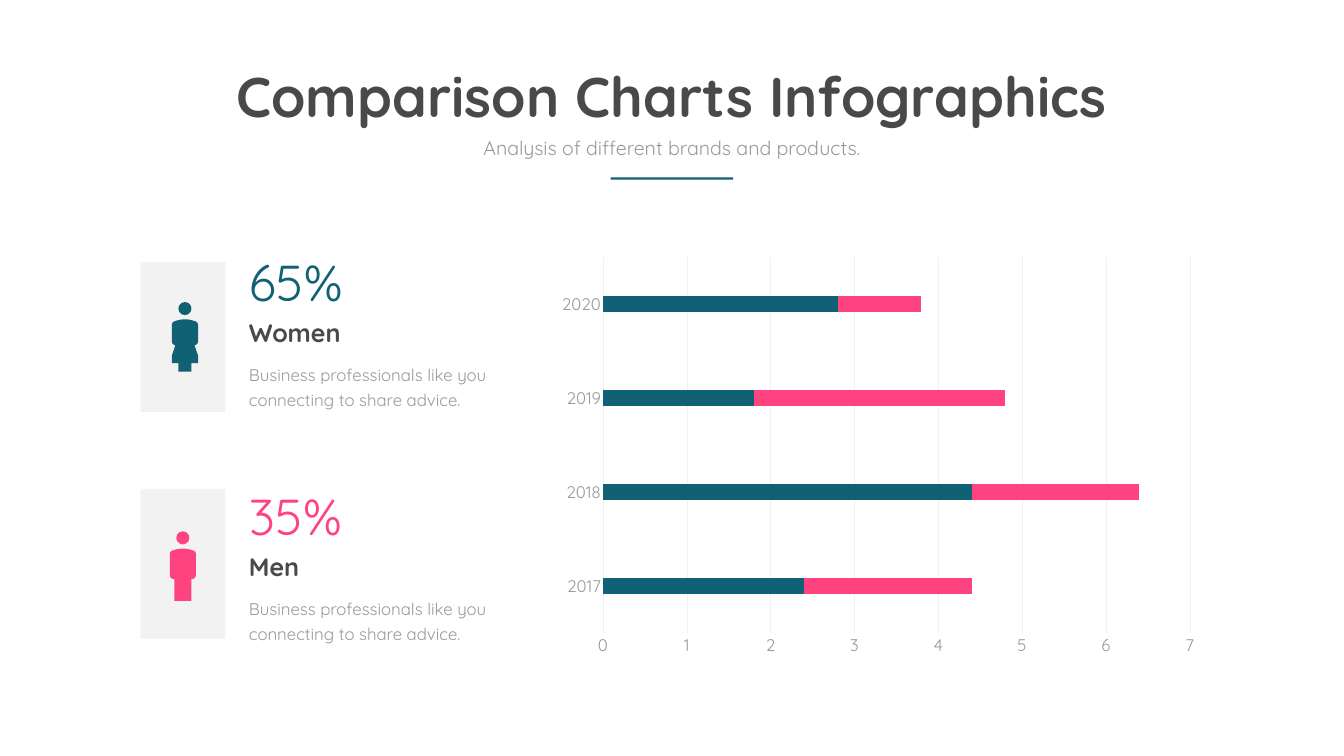
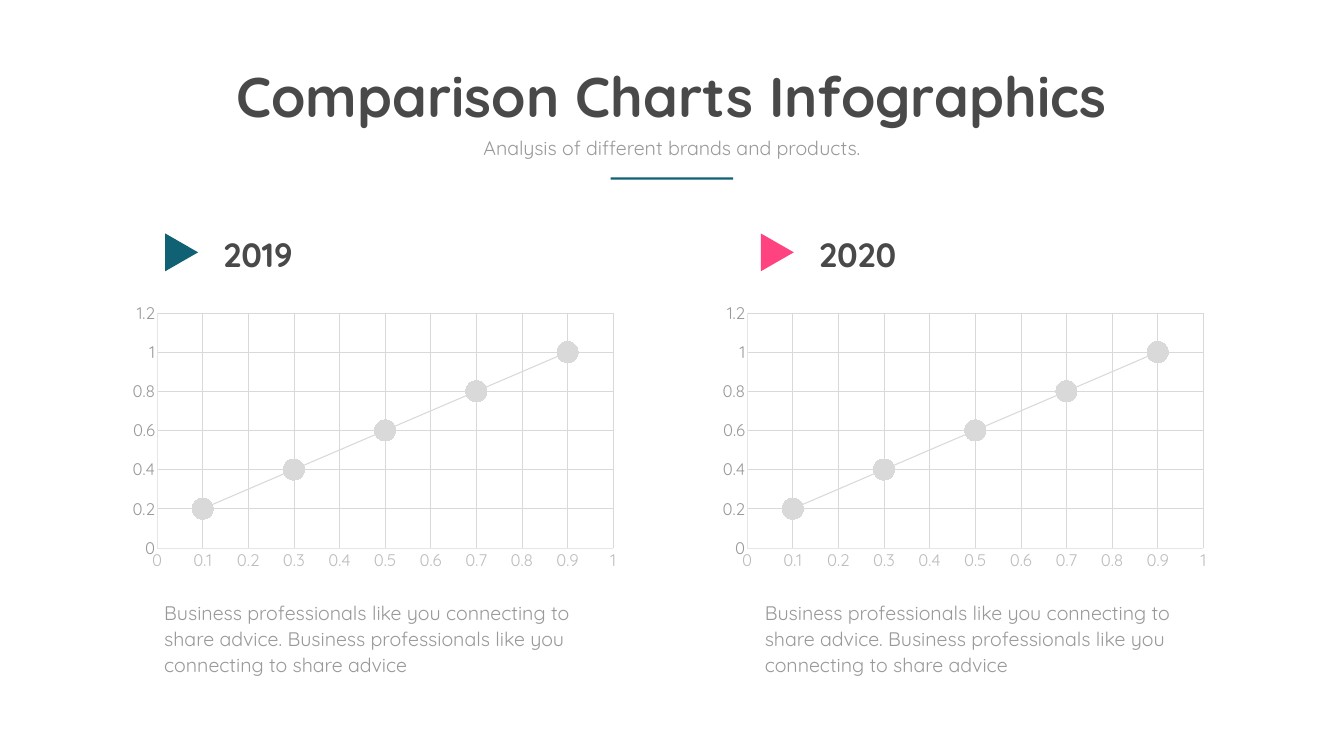
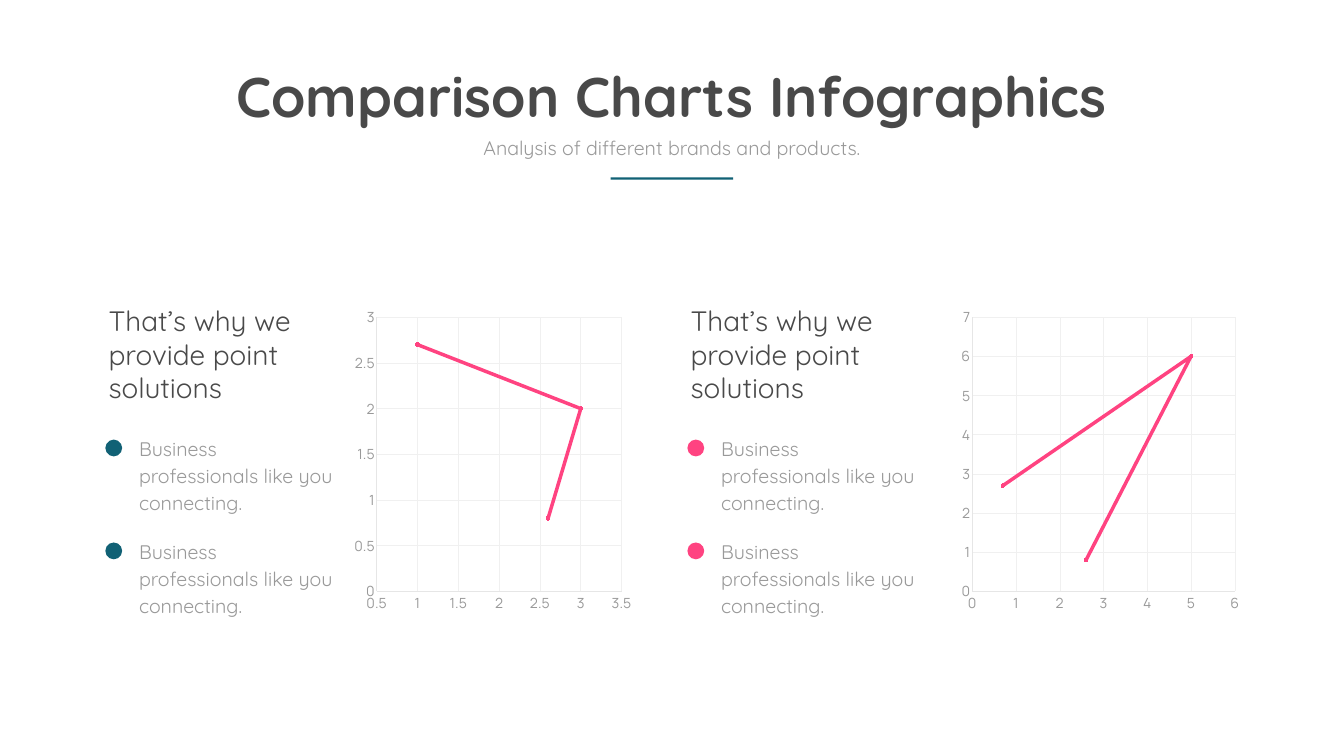
from lxml import etree
from pptx import Presentation
from pptx.chart.data import CategoryChartData, XyChartData
from pptx.dml.color import RGBColor
from pptx.enum.chart import XL_CHART_TYPE, XL_MARKER_STYLE, XL_TICK_MARK
from pptx.enum.shapes import MSO_SHAPE
from pptx.enum.text import MSO_ANCHOR, MSO_AUTO_SIZE, PP_ALIGN
from pptx.oxml.ns import qn
from pptx.util import Pt

TEAL, PINK = "116175", "FF4381"
DARK, GREY, PALE_GREY = "494949", "999999", "BDBDBD"
CARD, AXIS, GRID, FAINT_GRID = "F2F2F2", "E6E6E6", "D9D9D9", "F0F0F0"
FONT, CHART_FONT = "Quicksand", "Manrope"
ADVICE = "Business professionals like you connecting to share advice"

# Left half of each pictogram, in points: a 2-tuple is a corner and
# a 6-tuple is a Bezier curve (two control points and its end).
ICON_WIDTH, HEAD_SIZE = 37.4, 18.7
SHOULDER = [(18.7, 24.7), (13.85, 24.7, 9, 25.6, 4.3, 27.4),
            (1.4, 28.1, 0, 30.2, 0, 33.1)]
WOMAN = SHOULDER + [(0, 56.2), (0, 59, 2.2, 61.2, 5, 61.9), (0, 76.3),
                    (0, 87.1), (9.4, 87.1), (9.4, 99.4)]
MAN = SHOULDER + [(0, 62.6), (0, 65.5, 2.9, 68.4, 6.5, 68.4), (6.5, 99.4)]


def color(hex_value):
    return RGBColor.from_string(hex_value)


def points(*lengths):
    return [Pt(length) for length in lengths]


def style_font(font, size, hex_value, name=FONT, bold=False):
    font.name = name
    font.size = Pt(size)
    font.bold = bold
    font.color.rgb = color(hex_value)


def write(holder, text, size, hex_value=GREY, bold=False, align=PP_ALIGN.LEFT,
          leading=None, wrap=True):
    """Fill a text box or placeholder with one formatted paragraph."""
    frame = holder.text_frame
    frame.text = text
    frame.word_wrap = wrap
    frame.auto_size = MSO_AUTO_SIZE.SHAPE_TO_FIT_TEXT
    frame.vertical_anchor = MSO_ANCHOR.TOP
    paragraph = frame.paragraphs[0]
    paragraph.alignment = align
    paragraph.space_before = Pt(0)
    if leading:
        paragraph.line_spacing = Pt(leading)
    style_font(paragraph.runs[0].font, size, hex_value, bold=bold)


def add_text(slide, box, text, size, **formatting):
    write(slide.shapes.add_textbox(*points(*box)), text, size, **formatting)


def paint(shape, fill):
    shape.shadow.inherit = False
    shape.fill.solid()
    shape.fill.fore_color.rgb = color(fill)
    shape.line.fill.background()


def add_block(slide, kind, box, fill, rotation=0):
    block = slide.shapes.add_shape(kind, *points(*box))
    block.rotation = rotation
    paint(block, fill)


def add_headed_slide(deck):
    slide = deck.slides.add_slide(deck.slide_layouts[0])
    title, subtitle = slide.placeholders
    title.left, title.top, title.width, title.height = points(322, 84, 1275, 104.5)
    write(title, "Comparison Charts Infographics", 80, hex_value=DARK, bold=True,
          align=PP_ALIGN.CENTER, wrap=False)
    subtitle.left, subtitle.top, subtitle.width, subtitle.height = points(
        615.5, 191, 688.5, 41)
    write(subtitle, "Analysis of different brands and products.", 28,
          align=PP_ALIGN.CENTER)
    add_block(slide, MSO_SHAPE.RECTANGLE, (872.5, 253.5, 175, 3), TEAL)
    return slide


def flatten(half):
    """Turn corners and curves into a list of straight-line points."""
    outline = []
    for step in half:
        if len(step) == 2:
            outline.append(step)
            continue
        x0, y0 = outline[-1]
        x1, y1, x2, y2, x3, y3 = step
        for t in (k / 8 for k in range(1, 9)):
            a, b, c, d = (1 - t)**3, 3 * t * (1 - t)**2, 3 * t * t * (1 - t), t**3
            outline.append((a * x0 + b * x1 + c * x2 + d * x3,
                            a * y0 + b * y1 + c * y2 + d * y3))
    return outline


def add_person(slide, left, top, half, fill):
    add_block(slide, MSO_SHAPE.OVAL,
              (left + (ICON_WIDTH - HEAD_SIZE) / 2, top, HEAD_SIZE, HEAD_SIZE), fill)
    left_side = flatten(half)
    right_side = [(ICON_WIDTH - x, y) for x, y in reversed(left_side)]
    outline = [points(left + x, top + y) for x, y in left_side + right_side]
    builder = slide.shapes.build_freeform(*outline[0])
    builder.add_line_segments(outline[1:], close=True)
    paint(builder.convert_to_shape(), fill)


def add_gender_row(slide, left, top, card_top, icon, half, share, name, accent):
    add_block(slide, MSO_SHAPE.RECTANGLE, (left, card_top, 121, 214), CARD)
    add_person(slide, left + icon[0], card_top + icon[1], half, accent)
    text_left = left + 147.5
    add_text(slide, (text_left, top, 180.5, 94.5), share, 72, hex_value=accent)
    add_text(slide, (text_left, top + 95, 287.5, 51), name, 36,
             hex_value=DARK, bold=True)
    add_text(slide, (text_left, top + 154.5, 354, 78), ADVICE + ".", 24, leading=36.6)


def place_plot(chart, **fractions):
    """Fix the inner plot area as fractions (x, y, w, h) of the chart."""
    plot_area = chart.element.find(".//" + qn("c:plotArea"))
    for automatic in plot_area.findall(qn("c:layout")):
        plot_area.remove(automatic)
    layout = etree.Element(qn("c:layout"))
    manual = etree.SubElement(layout, qn("c:manualLayout"))
    settings = {"layoutTarget": "inner", "xMode": "edge", "yMode": "edge", **fractions}
    for tag, value in settings.items():
        etree.SubElement(manual, qn("c:" + tag)).set("val", str(value))
    plot_area.insert(0, layout)


def style_axis(axis, size, label=GREY, font=FONT, line=None, grid=None, scale=None):
    axis.major_tick_mark = axis.minor_tick_mark = XL_TICK_MARK.NONE
    style_font(axis.tick_labels.font, size, label, name=font)
    axis.has_major_gridlines = bool(grid)
    if grid:
        axis.major_gridlines.format.line.color.rgb = color(grid)
        axis.major_gridlines.format.line.width = Pt(0.75)
    if line:
        axis.format.line.color.rgb = color(line)
        axis.format.line.width = Pt(0.75)
    else:
        axis.format.line.fill.background()
    if scale:
        axis.minimum_scale, axis.maximum_scale, axis.major_unit = scale
        axis.tick_labels.number_format = "General"
        axis.tick_labels.number_format_is_linked = False


def add_chart(slide, kind, box, data, size, font, plot):
    chart = slide.shapes.add_chart(kind, *points(*box), data).chart
    chart.has_title = chart.has_legend = False
    chart.plots[0].vary_by_categories = False
    style_font(chart.font, size, GREY, name=font)
    place_plot(chart, **plot)
    return chart


def add_year_bars(slide, box):
    data = CategoryChartData()
    data.categories = ["2017", "2018", "2019", "2020"]
    data.add_series("Series 1", (2.4, 4.4, 1.8, 2.8))
    data.add_series("Series 2", (2, 2, 3, 1))
    chart = add_chart(slide, XL_CHART_TYPE.BAR_STACKED, box, data, 20, CHART_FONT,
                      dict(x=0.08, y=0.02, w=0.89, h=0.91))
    bars = chart.plots[0]
    bars.gap_width, bars.overlap = 500, 100
    for series, fill in zip(bars.series, (TEAL, PINK)):
        series.format.fill.solid()
        series.format.fill.fore_color.rgb = color(fill)
    style_axis(chart.category_axis, 24, line=FAINT_GRID)
    style_axis(chart.value_axis, 24, grid=FAINT_GRID, scale=(0, 7, 1))


def paint_marker(marker, fill, size):
    marker.style = XL_MARKER_STYLE.CIRCLE
    marker.size = size
    marker.format.fill.solid()
    marker.format.fill.fore_color.rgb = color(fill)
    marker.format.line.fill.background()


def add_scatter(slide, kind, box, pairs, size, font, plot, x_scale, y_scale,
                line, width, marker, marker_size, grid, x_label=GREY):
    data = XyChartData()
    trend = data.add_series("Series 1")
    for x, y in pairs:
        trend.add_data_point(x, y)
    chart = add_chart(slide, kind, box, data, size, font, plot)
    series = chart.plots[0].series[0]
    series.format.line.color.rgb = color(line)
    series.format.line.width = Pt(width)
    paint_marker(series.marker, marker, marker_size)
    style_axis(chart.category_axis, size, x_label, font, AXIS, grid, x_scale)
    style_axis(chart.value_axis, size, GREY, font, AXIS, grid, y_scale)
    return series


def add_year_panel(slide, left, top, year, accent, chart_left, text_left):
    add_block(slide, MSO_SHAPE.ISOSCELES_TRIANGLE, (left, top + 7, 54, 47), accent,
              rotation=90)
    add_text(slide, (left + 79.5, top, 287.5, 65.5), year, 48,
             hex_value=DARK, bold=True)
    pairs = [(k / 10, (k + 1) / 10) for k in range(1, 10, 2)]
    add_scatter(slide, XL_CHART_TYPE.XY_SCATTER_LINES,
                (left + chart_left, top + 94, 718.5, 399.5), pairs, 24, FONT,
                dict(x=0.068, y=0.058, w=0.907, h=0.84), (0, 1, 0.1), (0, 1.2, 0.2),
                line=GRID, width=1.5, marker=accent, marker_size=30, grid=GRID,
                x_label=PALE_GREY)
    add_text(slide, (left + text_left, top + 522.5, 642, 115),
             f"{ADVICE}. {ADVICE}", 28, leading=36.6)


def add_solution_panel(slide, left, top, accent, chart_left, pairs, plot,
                       x_scale, y_scale):
    add_text(slide, (left - 2.5, top, 345.5, 137.5),
             "That’s why we provide point solutions", 40, hex_value=DARK)
    for row in range(2):
        row_top = top + 186 + row * 147
        add_block(slide, MSO_SHAPE.OVAL, (left, row_top + 12, 24, 24), accent)
        add_text(slide, (left + 41, row_top, 300, 76.5),
                 "Business professionals like you connecting.", 28, leading=38.6)
    return add_scatter(slide, XL_CHART_TYPE.XY_SCATTER_SMOOTH,
                       (left + chart_left, top, 414, 455), pairs, 20, CHART_FONT,
                       dict(y=0.051, h=0.861, **plot), x_scale, y_scale,
                       line=PINK, width=5, marker=PINK, marker_size=5,
                       grid=FAINT_GRID)


def build_gender_slide(deck):
    slide = add_headed_slide(deck)
    add_year_bars(slide, (786, 355, 942, 591))
    add_gender_row(slide, 201, 355, 374.5, (44.5, 57), WOMAN, "65%", "Women", TEAL)
    add_gender_row(slide, 201, 689, 698.5, (41.5, 60.5), MAN, "35%", "Men", PINK)


def build_years_slide(deck):
    slide = add_headed_slide(deck)
    add_year_panel(slide, 232.5, 330, "2019", TEAL, chart_left=-57, text_left=-5)
    add_year_panel(slide, 1083.5, 330, "2020", PINK, chart_left=-65, text_left=2)


def build_solutions_slide(deck):
    slide = add_headed_slide(deck)
    curve = add_solution_panel(
        slide, 150.5, 430, TEAL, 347.5, [(1, 2.7), (3, 2), (2.6, 0.8)],
        dict(x=0.097, w=0.845), (0.5, 3.5, 0.5), (0, 3, 0.5))
    for index in (1, 2):
        paint_marker(curve.points[index].marker, TEAL, 5)
    add_solution_panel(
        slide, 982, 430, PINK, 382.5, [(0.7, 2.7), (5, 6), (2.6, 0.8)],
        dict(x=0.059, w=0.906), (0, 6, 1), (0, 7, 1))


def main():
    deck = Presentation()
    deck.slide_width, deck.slide_height = points(1920, 1080)
    build_gender_slide(deck)
    build_years_slide(deck)
    build_solutions_slide(deck)
    deck.save("out.pptx")


if __name__ == "__main__":
    main()
